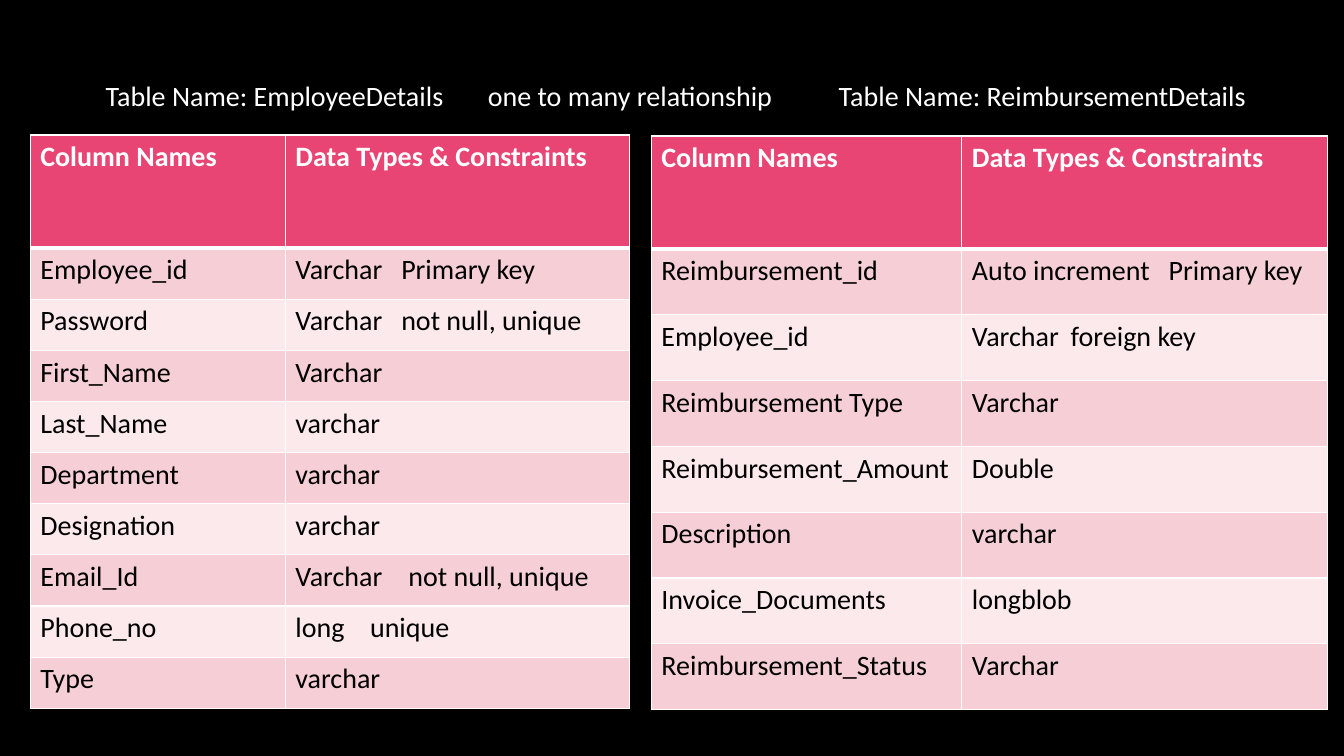
from lxml import etree
from pptx import Presentation
from pptx import util as u
from pptx.dml.color import RGBColor
from pptx.oxml.ns import qn

WIDE, HIGH = 13.33, 7.5
WHITE, BLACK, PINK = "FFFFFF", "000000", "E84574"
BANDS = ["F6CFD6", "FBE9EB"]
HEAD = ("Column Names", "Data Types & Constraints")
TOP_ROW, DEPTH = 1.12, 5.69

TABLES = [
    dict(left=0.3, top=1.34, cols=(2.53, 3.41), rows=[
        ("Employee_id", "Varchar\tPrimary key", 1.05),
        ("Password", "Varchar\tnot null, unique", 1.05),
        ("First_Name", "Varchar"),
        ("Last_Name", "varchar"),
        ("Department", "varchar"),
        ("Designation", "varchar"),
        ("Email_Id", "Varchar\tnot null, unique", 1.12),
        ("Phone_no", "long\tunique", 0.74),
        ("Type", "varchar"),
    ]),
    dict(left=6.46, top=1.35, cols=(3.08, 3.63), rows=[
        ("Reimbursement_id", "Auto increment\tPrimary key", 1.95),
        ("Employee_id", "Varchar\tforeign key", 0.98),
        ("Reimbursement Type", "Varchar"),
        ("Reimbursement_Amount", "Double"),
        ("Description", "varchar"),
        ("Invoice_Documents", "longblob"),
        ("Reimbursement_Status", "Varchar"),
    ]),
]
TITLES = [
    (0.95, 7.17, "Table Name: EmployeeDetails\tone to many relationship", 3.79),
    (8.22, 4.98, "Table Name: ReimbursementDetails", None),
]


def paint(fmt, tone):
    fmt.solid()
    fmt.fore_color.rgb = RGBColor.from_string(tone)


def write(frame, words, tone=WHITE, bold=False, tab=None):
    frame.word_wrap = True
    para = frame.paragraphs[0]
    run = para.add_run()
    run.text = words
    font = run.font
    font.name, font.size, font.bold = "Calibri", u.Pt(20), bold
    font.color.rgb = RGBColor.from_string(tone)
    if tab:
        stops = etree.SubElement(para._p.get_or_add_pPr(), qn("a:tabLst"))
        etree.SubElement(stops, qn("a:tab"), pos=str(u.Inches(tab)), algn="l")


def edge(cell, **sizes):
    props = cell._tc.get_or_add_tcPr()
    for at, side in enumerate("LRTB"):
        line = etree.Element(qn("a:ln" + side), w=str(u.Pt(sizes.get(side, 1))))
        fill = etree.SubElement(line, qn("a:solidFill"))
        etree.SubElement(fill, qn("a:srgbClr"), val=WHITE)
        props.insert(at, line)


def grid(slide, left, top, cols, rows):
    table = slide.shapes.add_table(
        len(rows) + 1, len(cols), u.Inches(left), u.Inches(top),
        u.Inches(sum(cols)), u.Inches(DEPTH)).table
    for col, width in zip(table.columns, cols):
        col.width = u.Inches(width)
    step = (DEPTH - TOP_ROW) / len(rows)
    for r, (name, kind, *tab) in enumerate([HEAD] + rows):
        table.rows[r].height = u.Inches(step if r else TOP_ROW)
        for c, words in enumerate((name, kind)):
            cell = table.cell(r, c)
            paint(cell.fill, BANDS[(r - 1) % 2] if r else PINK)
            edge(cell, T=3 if r == 1 else 1, B=1 if r else 3)
            write(cell.text_frame, words, tone=BLACK if r else WHITE,
                  bold=not r, tab=tab[0] if tab and c else None)


deck = Presentation()
deck.slide_width, deck.slide_height = u.Inches(WIDE), u.Inches(HIGH)
slide = deck.slides.add_slide(deck.slide_layouts[6])
paint(slide.background.fill, BLACK)
for table in TABLES:
    grid(slide, **table)
for left, width, words, tab in TITLES:
    box = slide.shapes.add_textbox(
        u.Inches(left), u.Inches(0.73), u.Inches(width), u.Inches(0.44))
    write(box.text_frame, words, tab=tab)
deck.save("out.pptx")
